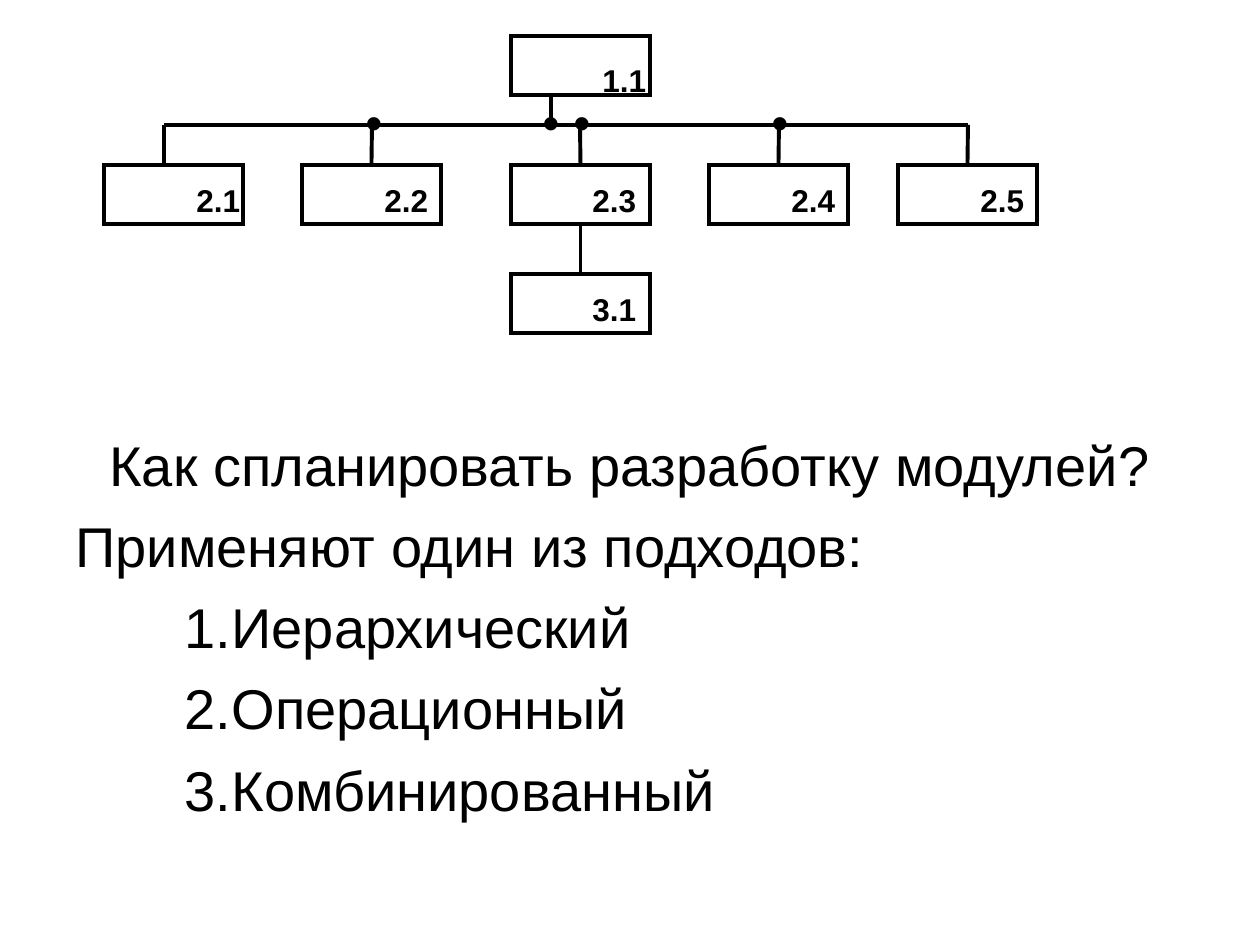
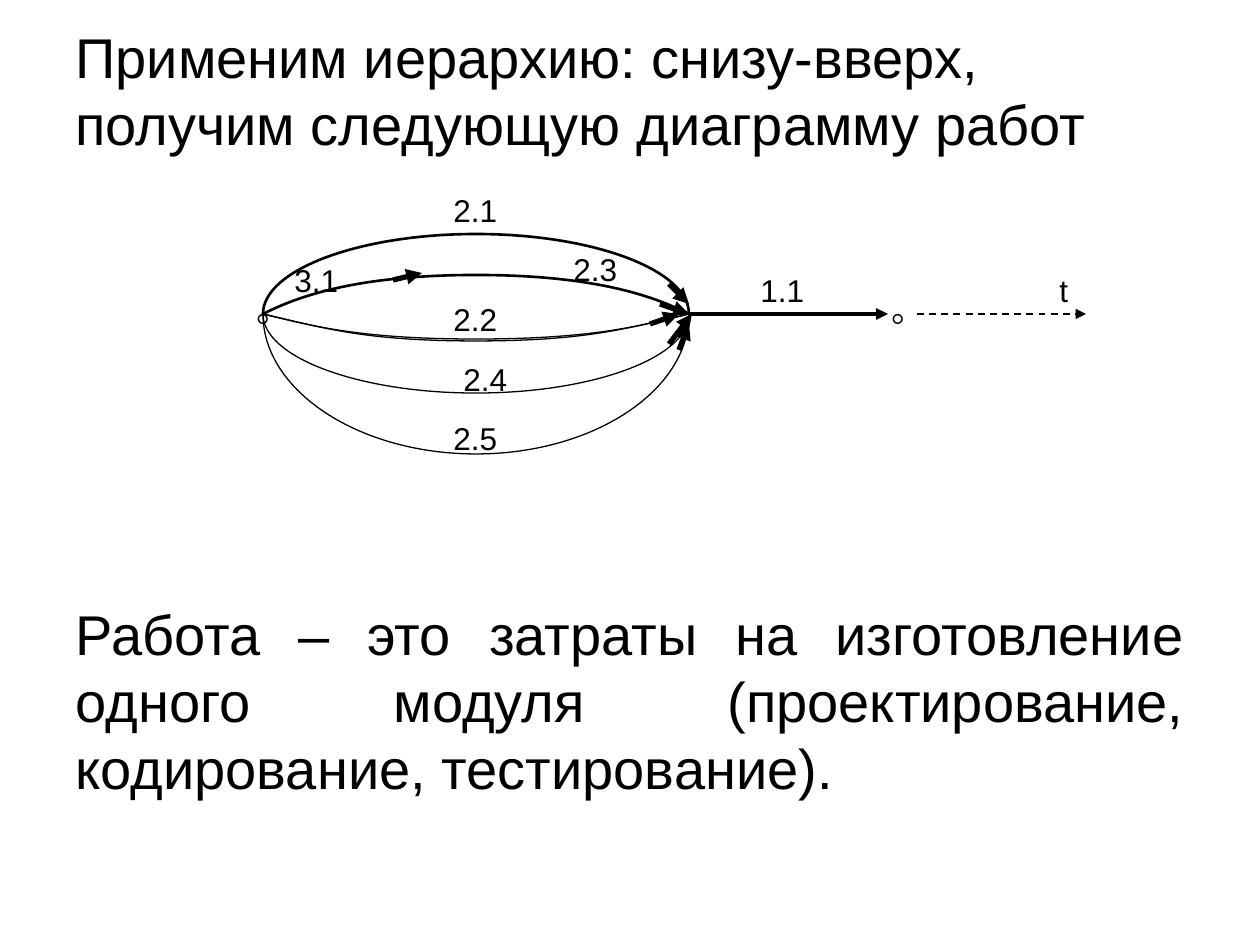
from pptx import Presentation
from pptx.dml.color import RGBColor
from pptx.enum.dml import MSO_LINE_DASH_STYLE as Dash
from pptx.enum.shapes import MSO_CONNECTOR as Connector, MSO_SHAPE as Shape
from pptx.enum.text import MSO_AUTO_SIZE as AutoSize, PP_ALIGN as Align
from pptx.oxml.ns import qn
from pptx.util import Emu, Pt
from lxml.etree import SubElement

EMU_PER_PX = 914400 / 126
COLORS = {"ink": "000000", "paper": "FFFFFF"}
FONT = "Arial"
BODY_LAYOUT = 1
BOX_WIDTH, BOX_HEIGHT = 139, 59
TOP, BOTTOM = 0, 2
START_X, FINISH_X, NODE_Y = 263, 689, 314
MIDDLE_X = (START_X + FINISH_X) // 2


def px(value):
    return Emu(round(value * EMU_PER_PX))


def color(name):
    return RGBColor.from_string(COLORS[name])


def style_line(shape, weight):
    shape.line.color.rgb = color("ink")
    shape.line.width = Pt(weight)


def style_para(para, size, bold=False):
    for span in para.runs:
        span.font.name = FONT
        span.font.size = Pt(size)
        span.font.bold = bold
        span.font.color.rgb = color("ink")


def add_page(deck):
    page = deck.slides.add_slide(deck.slide_layouts[BODY_LAYOUT])
    page.background.fill.solid()
    page.background.fill.fore_color.rgb = color("paper")
    title = page.shapes.title
    title.element.getparent().remove(title.element)
    return page


def set_numbering(para, margin, indent, numbered):
    props = para._p.get_or_add_pPr()
    props.set("marL", str(px(margin)))
    props.set("indent", str(px(indent)))
    if numbered:
        SubElement(props, qn("a:buFont")).set("typeface", FONT)
        SubElement(props, qn("a:buAutoNum")).set("type", "arabicPeriod")
    else:
        SubElement(props, qn("a:buNone"))


def fill_body(page, top, height, lines, numbered_from=None):
    body = page.placeholders[1]
    body.left, body.top, body.width, body.height = px(63), px(top), px(1134), px(height)
    frame = body.text_frame
    frame.auto_size = AutoSize.NONE
    frame.text = "\n".join(text for text, _, _ in lines)
    for index, (para, (_, align, gap)) in enumerate(zip(frame.paragraphs, lines)):
        numbered = numbered_from is not None and index >= numbered_from
        set_numbering(para, 156 if numbered else 0, -47 if numbered else 0, numbered)
        style_para(para, 32)
        para.alignment = align
        para.space_before = Pt(gap)


def add_label(page, text, left, top, size=18, bold=False):
    box = page.shapes.add_textbox(px(left), px(top), px(79), px(size * 2 + 14))
    frame = box.text_frame
    frame.word_wrap = True
    frame.margin_right = 0
    frame.text = text
    style_para(frame.paragraphs[0], size, bold)


def add_module(page, name, left, top, label_left, label_top):
    box = page.shapes.add_shape(Shape.RECTANGLE, px(left), px(top), px(BOX_WIDTH), px(BOX_HEIGHT))
    box.shadow.inherit = False
    box.fill.background()
    style_line(box, 2.25)
    SubElement(box.line._get_or_add_ln(), qn("a:miter")).set("lim", "800000")
    add_label(page, name, label_left, label_top, bold=True)
    return box


def add_line(page, start, end, weight=2.25, arrow=False, dash=None):
    line = page.shapes.add_connector(Connector.STRAIGHT, *map(px, start + end))
    style_line(line, weight)
    if dash:
        line.line.dash_style = dash
    if arrow:
        SubElement(line.line._get_or_add_ln(), qn("a:tailEnd")).set("type", "triangle")
    SubElement(line._element.spPr, qn("a:effectLst"))
    return line


def arc_curves(apex, near_reach, apex_reach, lift):
    handle_y = NODE_Y + lift * (apex - NODE_Y)
    right = [(FINISH_X, NODE_Y), (MIDDLE_X + near_reach, handle_y),
             (MIDDLE_X + apex_reach, apex), (MIDDLE_X, apex)]
    left = [(2 * MIDDLE_X - x, y) for x, y in reversed(right)]
    return [right, left]


def add_crescent(page, inner_apex, inner_reach, outer_apex, weight):
    inner = arc_curves(inner_apex, inner_reach, 114, 0.5)
    outer = arc_curves(outer_apex, FINISH_X - MIDDLE_X, 117, 0.55)
    curves = inner + [curve[::-1] for curve in reversed(outer)]
    builder = page.shapes.build_freeform(px(FINISH_X), px(NODE_Y))
    builder.add_line_segments([tuple(map(px, curve[-1])) for curve in curves], close=True)
    crescent = builder.convert_to_shape()
    for segment, curve in zip(list(crescent._element.iter(qn("a:lnTo"))), curves):
        segment.tag = qn("a:cubicBezTo")
        segment.remove(segment[0])
        for x, y in curve[1:]:
            point = SubElement(segment, qn("a:pt"))
            point.set("x", str(px(x) - crescent.left))
            point.set("y", str(px(y) - crescent.top))
    crescent.shadow.inherit = False
    crescent.fill.background()
    style_line(crescent, weight)


def build_hierarchy(deck):
    page = add_page(deck)
    fill_body(page, 424, 420, [
        ("Как спланировать разработку модулей?", Align.CENTER, 0),
        ("Применяют один из подходов:", Align.LEFT, 8),
        ("Иерархический", Align.LEFT, 8),
        ("Операционный", Align.LEFT, 8),
        ("Комбинированный", Align.LEFT, 8),
    ], numbered_from=2)

    bus_y, row_y, leaf_y = 125, 165, 274
    drops = [164, 372, 580, 779, 968]
    lefts = [104, 302, 511, 709, 898]
    add_module(page, "1.1", 511, 36, 590, 55)
    modules = []
    for number, (left, drop) in enumerate(zip(lefts, drops), 1):
        label_left = 184 if number == 1 else drop
        module = add_module(page, f"2.{number}", left, row_y, label_left, 175)
        line = add_line(page, (drop, bus_y), (drop, row_y))
        if number > 1:
            line.end_connect(module, TOP)
        modules.append(module)
    leaf = add_module(page, "3.1", 511, leaf_y, 580, 284)
    link = add_line(page, (580, row_y + BOX_HEIGHT), (580, leaf_y))
    link.begin_connect(modules[2], BOTTOM)
    link.end_connect(leaf, TOP)
    add_line(page, (drops[0], bus_y), (drops[-1], bus_y))
    add_line(page, (551, 95), (551, bus_y))
    for left in (353, 530, 561, 759):
        add_label(page, "•", left, 85, size=28)


def build_work_diagram(deck):
    page = add_page(deck)
    fill_body(page, 16, 883, [
        ("Применим иерархию: снизу-вверх, получим следующую диаграмму работ", Align.LEFT, 0),
        ("Работа – это затраты на изготовление одного модуля "
         "(проектирование, кодирование, тестирование).", Align.JUSTIFY, 253),
    ])

    for crescent in [(275, 175, 234, 1.5), (339, 162, 393, 0.75), (341, 153, 454, 0.75)]:
        add_crescent(page, *crescent)
    for text, left, top in [("2.1", 441, 185), ("2.3", 561, 244), ("2.2", 441, 294),
                            ("2.4", 451, 354), ("2.5", 441, 413), ("3.1", 282, 255),
                            ("1.1", 748, 265), ("t", 1047, 265)]:
        add_label(page, text, left, top)
    for left in (243, 878):
        add_label(page, "◦", left, 284, size=24)
    for start, end in [((669, 284), (689, 304)), ((660, 304), (689, 314)),
                       ((650, 324), (679, 314)), ((669, 344), (692, 314)),
                       ((679, 350), (689, 324)), ((393, 280), (422, 273))]:
        add_line(page, start, end, weight=3, arrow=True)
    add_line(page, (FINISH_X, NODE_Y), (888, NODE_Y), arrow=True)
    add_line(page, (917, NODE_Y), (1086, NODE_Y), weight=1, arrow=True, dash=Dash.DASH)


def main():
    deck = Presentation()
    deck.slide_width, deck.slide_height = px(1260), px(945)
    build_hierarchy(deck)
    build_work_diagram(deck)
    deck.save("out.pptx")


if __name__ == "__main__":
    main()
